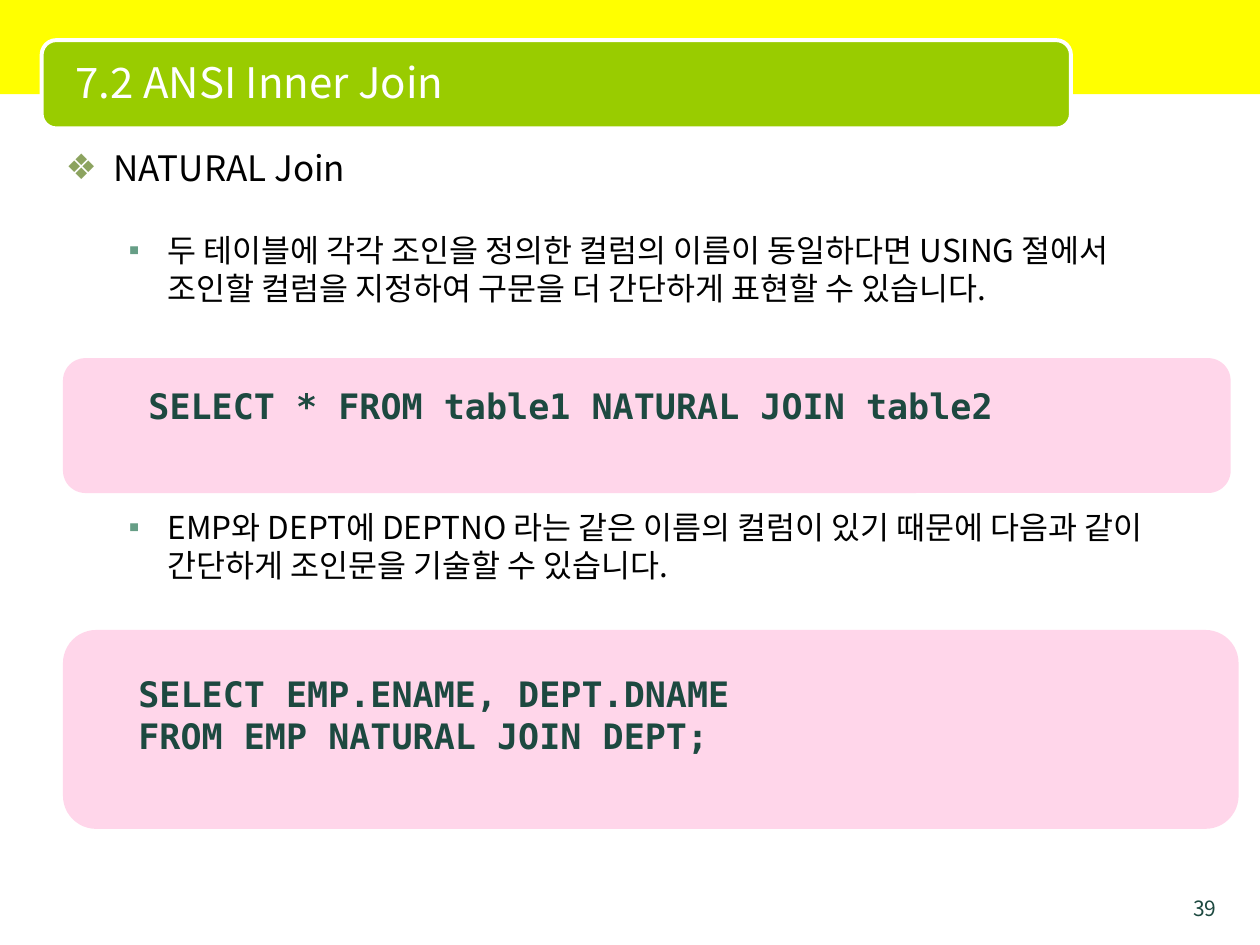
from lxml.etree import SubElement as Sub
from pptx import Presentation
from pptx.dml.color import RGBColor as RGB
from pptx.enum.shapes import MSO_SHAPE as Shape
from pptx.enum.text import MSO_ANCHOR as Anchor, MSO_AUTO_SIZE as Auto, PP_ALIGN as Align
from pptx.oxml.ns import qn
from pptx.util import Cm, Pt

HUES = {
    "band": "FFFF00", "tab": "99CC00", "white": "FFFFFF", "black": "000000",
    "pink": "FF99CC", "dark": "1D4940", "olive": "8CA35F", "teal": "669E86",
}
SANS = "Noto Sans CJK KR"
MONO = "DejaVu Sans Mono"
ITEMS = [
    ("NATURAL Join", 0, 0),
    ("두 테이블에 각각 조인을 정의한 컬럼의 이름이 동일하다면 USING 절에서 "
     "조인할 컬럼을 지정하여 구문을 더 간단하게 표현할 수 있습니다.", 1, 24),
    ("EMP와 DEPT에 DEPTNO 라는 같은 이름의 컬럼이 있기 때문에 다음과 "
     "같이 간단하게 조인문을 기술할 수 있습니다.", 1, 115),
]
LEVELS = [("❖", "olive", 20, 0.96, 0.96), ("▪", "teal", 18, 2.06, 0.79)]


def place(item, left, top, width, height):
    item.left, item.top = Cm(left), Cm(top)
    item.width, item.height = Cm(width), Cm(height)


def style(para, size, hue, face=SANS, bold=False, lead=True):
    if lead:
        para.line_spacing = Pt(round(size * 1.205, 1))
    font = para.font
    font.size, font.bold, font.name = Pt(size), bold, face
    font.color.rgb = RGB.from_string(HUES[hue])
    Sub(font._element, qn("a:ea"), typeface=face)


def bullet(para, sign, hue, left, hang):
    props = para._p.get_or_add_pPr()
    props.set("marL", str(Cm(left)))
    props.set("indent", str(-Cm(hang)))
    tint = Sub(props, qn("a:buClr"))
    Sub(tint, qn("a:srgbClr"), val=HUES[hue])
    Sub(props, qn("a:buChar"), char=sign)


def panel(shapes, kind, box, hue, alpha=None):
    shape = shapes.add_shape(kind, *map(Cm, box))
    shape.shadow.inherit = False
    shape.fill.solid()
    shape.fill.fore_color.rgb = RGB.from_string(HUES[hue])
    shape.line.fill.background()
    if alpha:
        tint = shape._element.spPr.find(".//" + qn("a:srgbClr"))
        Sub(tint, qn("a:alpha"), val=str(alpha * 1000))
    return shape


def label(shapes, box, lines, size, align, face=SANS, bold=False):
    text = shapes.add_textbox(*map(Cm, box)).text_frame
    text.word_wrap = True
    text.text = "\n".join(lines)
    for para in text.paragraphs:
        para.alignment = align
        style(para, size, "dark", face, bold)


def code(slide, box, area, lines, align):
    group = slide.shapes.add_group_shape()
    panel(group.shapes, Shape.ROUNDED_RECTANGLE, box, "pink", 40)
    label(group.shapes, area, lines, 20, align, MONO, True)


def header(slide, words):
    title = slide.shapes.title
    band = panel(slide.shapes, Shape.RECTANGLE, (0, 0, 25.4, 1.9), "band")
    tab = panel(slide.shapes, Shape.ROUNDED_RECTANGLE, (0.84, 0.81, 20.75, 1.78), "tab")
    tab.line.color.rgb = RGB.from_string(HUES["white"])
    tab.line.width = Pt(2.25)
    for shape in (band, tab):
        title._element.addprevious(shape._element)
    place(title, 1.27, 0.87, 20.12, 1.57)
    text = title.text_frame
    text.text = words
    text.auto_size = Auto.NONE
    text.vertical_anchor = Anchor.MIDDLE
    para = text.paragraphs[0]
    para.alignment = Align.LEFT
    style(para, 24, "white", lead=False)


def body(slide):
    hold = slide.placeholders[1]
    place(hold, 1.07, 2.82, 22.86, 15.6)
    text = hold.text_frame
    text.auto_size = Auto.NONE
    text.text = "\n".join(words for words, _, _ in ITEMS)
    for para, (_, level, gap) in zip(text.paragraphs, ITEMS):
        sign, hue, size, left, hang = LEVELS[level]
        para.level = level
        para.space_before = Pt(gap)
        bullet(para, sign, hue, left, hang)
        style(para, size, "black")


def main():
    deck = Presentation()
    deck.slide_width, deck.slide_height = Cm(25.4), Cm(19.05)
    slide = deck.slides.add_slide(deck.slide_layouts[1])
    header(slide, "7.2 ANSI Inner Join")
    body(slide)
    code(slide, (1.27, 7.22, 23.54, 2.72), (2.54, 7.62, 17.93, 1.12),
         ["SELECT * FROM table1 NATURAL JOIN table2"], Align.CENTER)
    code(slide, (1.27, 12.7, 23.7, 4.01), (2.54, 13.43, 17.93, 1.96),
         ["SELECT EMP.ENAME, DEPT.DNAME", "FROM EMP NATURAL JOIN DEPT;"], Align.LEFT)
    label(slide.shapes, (23.5, 17.92, 1.27, 0.53), ["39"], 12, Align.RIGHT)
    deck.save("out.pptx")


if __name__ == "__main__":
    main()
